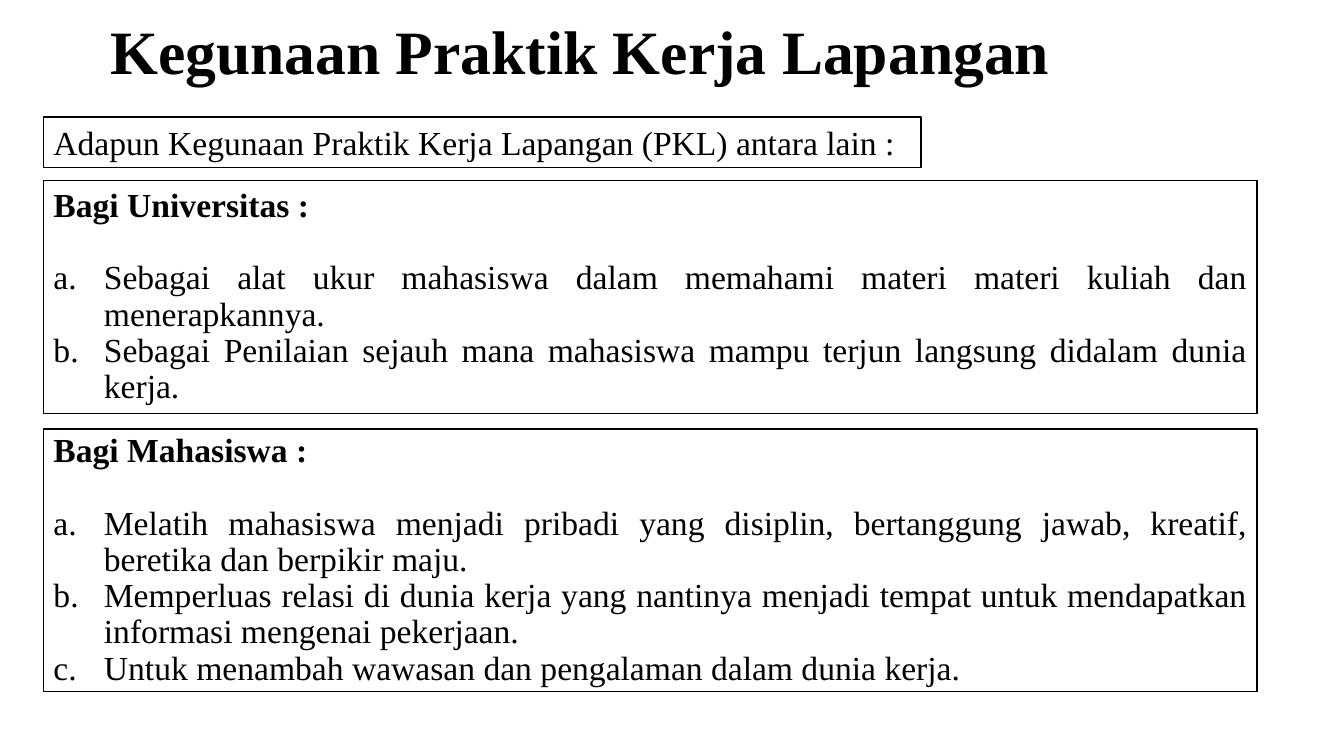
from lxml.etree import SubElement
from pptx import Presentation
from pptx.dml.color import RGBColor
from pptx.enum.shapes import MSO_SHAPE
from pptx.enum.text import MSO_ANCHOR, MSO_AUTO_SIZE, PP_ALIGN
from pptx.oxml.ns import qn
from pptx.util import Pt

BLACK = RGBColor(0, 0, 0)
WHITE = RGBColor(255, 255, 255)
FONT = "Times New Roman"
LEFT = 31
WIDTH = 867
INDENT = 36

BENEFITS = [
    (129, 166.5, "Bagi Universitas :", [
        "Sebagai alat ukur mahasiswa dalam memahami materi materi kuliah dan menerapkannya.",
        "Sebagai Penilaian sejauh mana mahasiswa mampu terjun langsung didalam dunia kerja.",
    ]),
    (306.5, 187.5, "Bagi Mahasiswa :", [
        "Melatih mahasiswa menjadi pribadi yang disiplin, bertanggung jawab, kreatif, "
        "beretika dan berpikir maju.",
        "Memperluas relasi di dunia kerja yang nantinya menjadi tempat untuk mendapatkan "
        "informasi mengenai pekerjaan.",
        "Untuk menambah wawasan dan pengalaman dalam dunia kerja.",
    ]),
]


def apply(target, values):
    for name, value in values.items():
        setattr(target, name, value)


def place(box, left, top, width, height, anchor):
    apply(box, {"left": Pt(left), "top": Pt(top),
                "width": Pt(width), "height": Pt(height)})
    apply(box.text_frame, {"word_wrap": True, "vertical_anchor": anchor,
                           "auto_size": MSO_AUTO_SIZE.NONE})


def outline(box):
    box.fill.solid()
    box.fill.fore_color.rgb = WHITE
    box.line.color.rgb = BLACK
    box.line.width = Pt(1)


def write(para, text, size=24, bold=False, **layout):
    apply(para, {"alignment": PP_ALIGN.JUSTIFY, "line_spacing": 0.9,
                 "space_before": Pt(0), "space_after": Pt(0), **layout})
    span = para.add_run()
    span.text = text
    apply(span.font, {"name": FONT, "size": Pt(size), "bold": bold})
    span.font.color.rgb = BLACK


def set_bullet(para, lettered):
    props = para._p.get_or_add_pPr()
    indent = Pt(INDENT) if lettered else 0
    props.set("marL", str(indent))
    props.set("indent", str(-indent))
    if lettered:
        SubElement(props, qn("a:buFont")).set("typeface", FONT)
        SubElement(props, qn("a:buAutoNum")).set("type", "alphaLcPeriod")
    else:
        SubElement(props, qn("a:buNone"))


def add_title(page, text):
    title = page.shapes.title
    place(title, 71.5, 11.5, 696, 55, MSO_ANCHOR.BOTTOM)
    write(title.text_frame.paragraphs[0], text, 44, True, alignment=PP_ALIGN.LEFT)


def add_intro(page, text):
    box = page.shapes.add_shape(MSO_SHAPE.RECTANGLE, 0, 0, 0, 0)
    box.shadow.inherit = False
    place(box, LEFT, 83.5, 627, 36, MSO_ANCHOR.TOP)
    outline(box)
    write(box.text_frame.paragraphs[0], text, line_spacing=1.0)


def fill_benefits(box, top, height, heading, items):
    place(box, LEFT, top, WIDTH, height, MSO_ANCHOR.MIDDLE)
    outline(box)
    frame = box.text_frame
    para = frame.paragraphs[0]
    write(para, heading, bold=True, space_after=Pt(26))
    set_bullet(para, False)
    for item in items:
        para = frame.add_paragraph()
        write(para, item)
        set_bullet(para, True)


def main():
    deck = Presentation()
    apply(deck, {"slide_width": Pt(960), "slide_height": Pt(540)})
    page = deck.slides.add_slide(deck.slide_layouts.get_by_name("Two Content"))

    # Title and introduction
    add_title(page, "Kegunaan Praktik Kerja Lapangan")
    add_intro(page, "Adapun Kegunaan Praktik Kerja Lapangan (PKL) antara lain :")

    # Benefits for the university and for the students
    bodies = list(page.placeholders)[1:]
    for body, benefit in zip(bodies, BENEFITS):
        fill_benefits(body, *benefit)

    deck.save("out.pptx")


if __name__ == "__main__":
    main()
